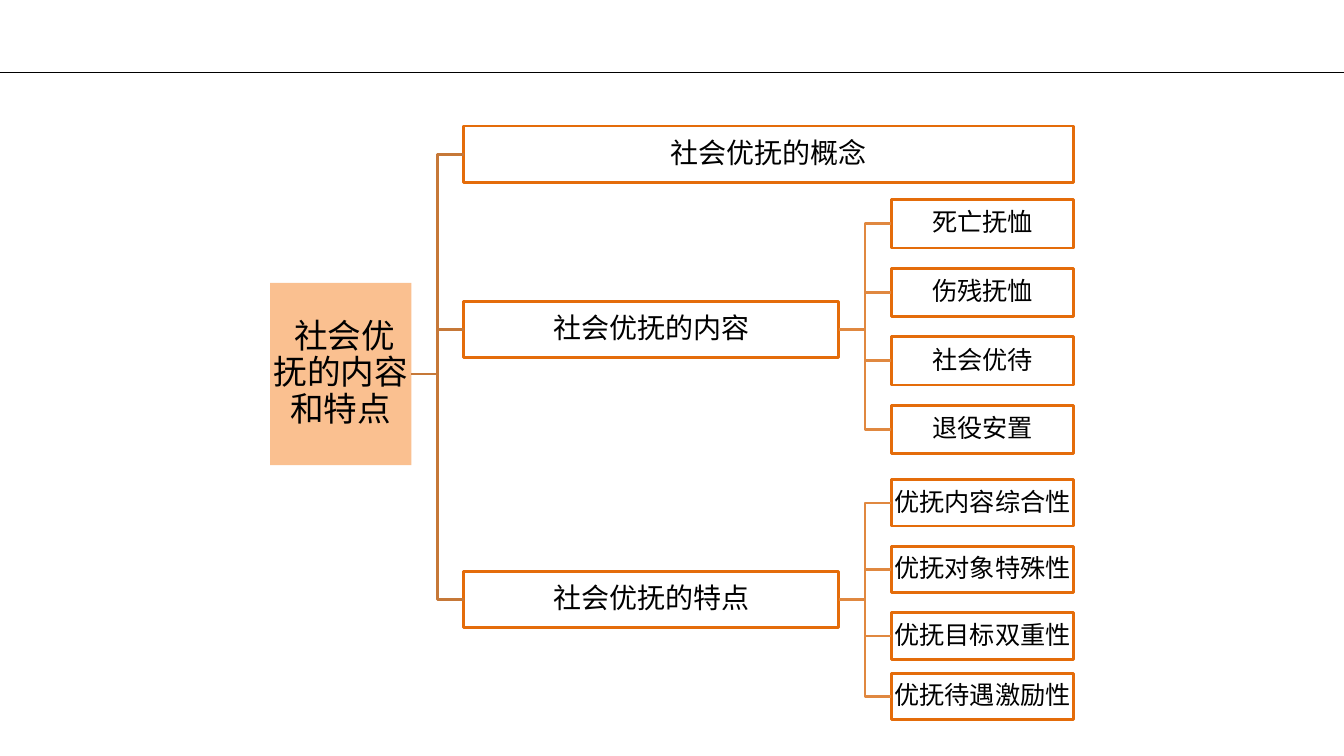
import pptx
import pptx.util
import pptx.dml.color
import pptx.enum.shapes
import pptx.enum.text
import pptx.oxml.ns
from lxml import etree

Inches, Pt = pptx.util.Inches, pptx.util.Pt

ROOT = (" 社会优抚的内容和特点", 3.71)
BRANCHES = [
    ("社会优抚的概念", 1.53, []),
    ("社会优抚的内容", 3.27, [
        ("死亡抚恤", 2.22), ("伤残抚恤", 2.9),
        ("社会优待", 3.58), ("退役安置", 4.26)]),
    ("社会优抚的特点", 5.95, [
        ("优抚内容综合性", 4.99), ("优抚对象特殊性", 5.65),
        ("优抚目标双重性", 6.31), ("优抚待遇激励性", 6.91)]),
]
ROOT_STYLE = dict(left=2.68, width=1.4, height=1.81, size=24, inset=0.02, fill="FAC090")
BRANCH_STYLE = dict(left=4.6, width=3.72, height=0.56, size=20, line="E46C0A")
WIDE_STYLE = {**BRANCH_STYLE, "width": 6.05}
CONTENT_STYLE = dict(left=8.84, width=1.81, height=0.48, size=18, line="E46C0A")
FEATURE_STYLE = {**CONTENT_STYLE, "height": 0.46}
LEAF_STYLES = [None, CONTENT_STYLE, FEATURE_STYLE]
ROOT_LINK, LEAF_LINK = "C67838", "E08840"
RIGHT_SITE, LEFT_SITE = 3, 1


def color(value):
    return pptx.dml.color.RGBColor.from_string(value)


def set_all(target, values):
    for name, value in values.items():
        setattr(target, name, value)


def add_box(s, text, middle, left, width, height, size, inset=0.01, fill=None, line=None):
    sp = s.shapes.add_shape(
        pptx.enum.shapes.MSO_SHAPE.RECTANGLE, Inches(left),
        Inches(middle - height / 2), Inches(width), Inches(height))
    sp.shadow.inherit = False
    if fill:
        sp.fill.solid()
        sp.fill.fore_color.rgb = color(fill)
    else:
        sp.fill.background()
    if line:
        sp.line.color.rgb = color(line)
        sp.line.width = Pt(2)
    else:
        sp.line.fill.background()
    tf = sp.text_frame
    margins = {f"margin_{side}": Inches(inset) for side in ("left", "right", "top", "bottom")}
    set_all(tf, {**margins, "word_wrap": True,
                 "vertical_anchor": pptx.enum.text.MSO_ANCHOR.MIDDLE})
    p = tf.paragraphs[0]
    set_all(p, {"alignment": pptx.enum.text.PP_ALIGN.CENTER, "line_spacing": 0.9})
    r = p.add_run()
    r.text = text
    set_all(r.font, {"name": "Calibri", "size": Pt(size)})
    r.font.color.rgb = color("000000")
    return sp


def add_line(s, kind, start, end, line, width):
    c = s.shapes.add_connector(kind, *(Inches(v) for v in start + end))
    c.line.color.rgb = color(line)
    c.line.width = Pt(width)
    etree.SubElement(c._element.spPr, pptx.oxml.ns.qn("a:effectLst"))
    return c


def link(s, parent, child, line):
    c = add_line(s, pptx.enum.shapes.MSO_CONNECTOR.ELBOW, (0, 0), (1, 1), line, 2)
    c.begin_connect(parent, RIGHT_SITE)
    c.end_connect(child, LEFT_SITE)


def main():
    prs = pptx.Presentation()
    set_all(prs, {"slide_width": Inches(13.33), "slide_height": Inches(7.5)})
    s = prs.slides.add_slide(prs.slide_layouts[6])
    add_line(s, pptx.enum.shapes.MSO_CONNECTOR.STRAIGHT, (0, 0.72), (13.33, 0.72), "000000", 1)
    root = add_box(s, *ROOT, **ROOT_STYLE)
    for (text, middle, leaves), leaf_style in zip(BRANCHES, LEAF_STYLES):
        branch = add_box(s, text, middle, **(BRANCH_STYLE if leaves else WIDE_STYLE))
        link(s, root, branch, ROOT_LINK)
        for leaf_text, leaf_middle in leaves:
            leaf = add_box(s, leaf_text, leaf_middle, **leaf_style)
            link(s, branch, leaf, LEAF_LINK)
    prs.save("out.pptx")


if __name__ == "__main__":
    main()
